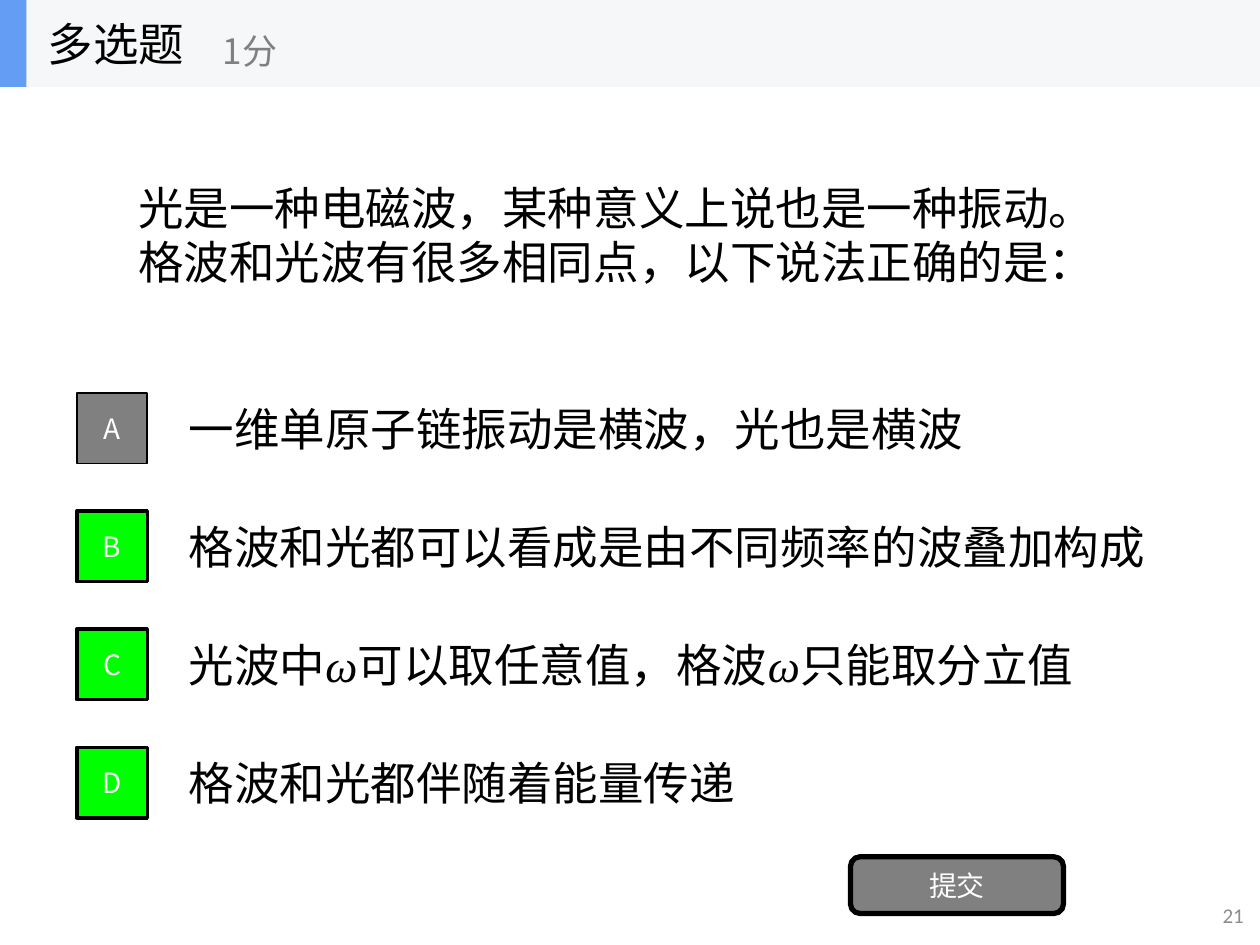
from dataclasses import dataclass

from lxml import etree
from pptx import Presentation, util as u
from pptx.dml.color import RGBColor
from pptx.enum import shapes, text
from pptx.oxml.ns import qn

COLORS = {
    "ink": "000000",
    "white": "FFFFFF",
    "grey": "808080",
    "page_number": "8C8C8C",
    "correct": "00FF00",
    "header": "F6F7F8",
    "accent": "639EF4",
}
CJK = "Noto Sans CJK SC"
SERIF = "Times New Roman"
LEFT, CENTER, RIGHT = (text.PP_ALIGN.LEFT, text.PP_ALIGN.CENTER,
                       text.PP_ALIGN.RIGHT)
RECT = shapes.MSO_SHAPE.RECTANGLE
ROUNDED = shapes.MSO_SHAPE.ROUNDED_RECTANGLE

OPTION_TOP, OPTION_STEP = 3.05, 0.937
OPTION_HEIGHT, BADGE_SIZE = 0.7, 0.56


@dataclass
class Box:
    left: float
    top: float
    width: float
    height: float

    def lengths(self) -> list:
        return [u.Inches(v) for v in (self.left, self.top, self.width, self.height)]


@dataclass
class Style:
    size: float = 26
    color: str = "ink"
    font: str = CJK
    align: text.PP_ALIGN = LEFT


@dataclass
class Option:
    letter: str
    pieces: list[str]
    correct: bool = True
    font: str = CJK
    width: float = 7


OPTIONS = [
    Option("A", ["一维单原子链振动是横波，光也是横波"], correct=False),
    Option("B", ["格波和光都可以看成是由不同频率的波叠加构成"], width=7.86),
    Option("C", ["光波中", "ω", "可以取任意值，格波", "ω", "只能取分立值"],
           font=SERIF, width=7.86),
    Option("D", ["格波和光都伴随着能量传递"]),
]


def write(frame, pieces: list[str], style: Style) -> None:
    frame.word_wrap = True
    frame.vertical_anchor = text.MSO_ANCHOR.MIDDLE
    paragraph = frame.paragraphs[0]
    paragraph.alignment = style.align
    for piece in pieces:
        run = paragraph.add_run()
        run.text = piece
        font = run.font
        font.size = u.Pt(style.size)
        font.italic = piece == "ω"
        font.color.rgb = RGBColor.from_string(COLORS[style.color])
        font.name = style.font
        # East Asian characters take their own typeface
        east_asian = etree.Element(qn("a:ea"), typeface=CJK)
        run._r.rPr.find(qn("a:latin")).addnext(east_asian)


def add_text(parent, box: Box, pieces: list[str], style: Style) -> None:
    write(parent.add_textbox(*box.lengths()).text_frame, pieces, style)


def add_block(parent, box: Box, fill: str, kind=RECT, line: float = 0,
              label: str = "") -> None:
    block = parent.add_shape(kind, *box.lengths())
    block.shadow.inherit = False
    block.fill.solid()
    block.fill.fore_color.rgb = RGBColor.from_string(COLORS[fill])
    if line:
        block.line.color.rgb = RGBColor.from_string(COLORS["ink"])
        block.line.width = u.Pt(line)
    else:
        block.line.fill.background()
    if label:
        write(block.text_frame, [label], Style(16, "white", align=CENTER))


def add_option(parent, index: int, option: Option) -> None:
    top = OPTION_TOP + index * OPTION_STEP
    add_text(parent, Box(1.4, top, option.width, OPTION_HEIGHT), option.pieces,
             Style(font=option.font))
    badge_top = top + (OPTION_HEIGHT - BADGE_SIZE) / 2
    add_block(parent, Box(0.61, badge_top, BADGE_SIZE, BADGE_SIZE),
              "correct" if option.correct else "grey",
              line=2 if option.correct else 1, label=option.letter)


def main() -> None:
    deck = Presentation()
    deck.slide_width, deck.slide_height = u.Inches(10), u.Inches(7.5)
    content = deck.slides.add_slide(deck.slide_layouts[6]).shapes

    # Page number
    add_text(content, Box(7.72, 7.06, 2.25, 0.4), ["21"],
             Style(12, "page_number", "Calibri", RIGHT))

    # Question and answer options
    question = "光是一种电磁波，某种意义上说也是一种振动。格波和光波有很多相同点，以下说法正确的是："
    add_text(content, Box(1, 0.69, 8, 2.34), [question], Style())
    for index, option in enumerate(OPTIONS):
        add_option(content, index, option)

    # Submit button
    add_block(content, Box(6.75, 6.8, 1.69, 0.45), "grey", ROUNDED, 3, "提交")

    # Header band with question type and score
    header = content.add_group_shape().shapes
    add_block(header, Box(0, 0, 10, 0.69), "header")
    add_block(header, Box(0, 0, 0.21, 0.69), "accent")
    add_text(header, Box(0.28, 0, 2.08, 0.69), ["多选题"], Style())
    add_text(header, Box(1.67, 0.12, 2.5, 0.56), ["1分"], Style(20, "grey"))

    deck.save("out.pptx")


if __name__ == "__main__":
    main()
